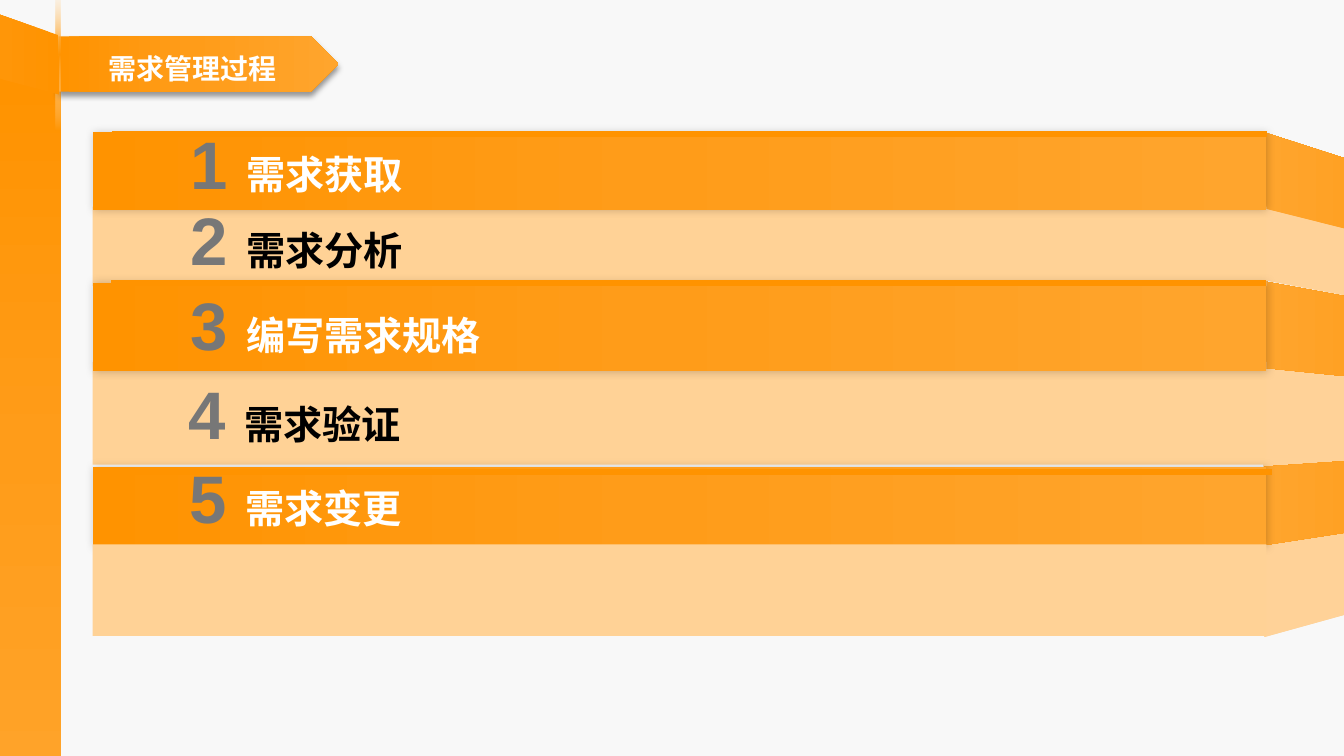
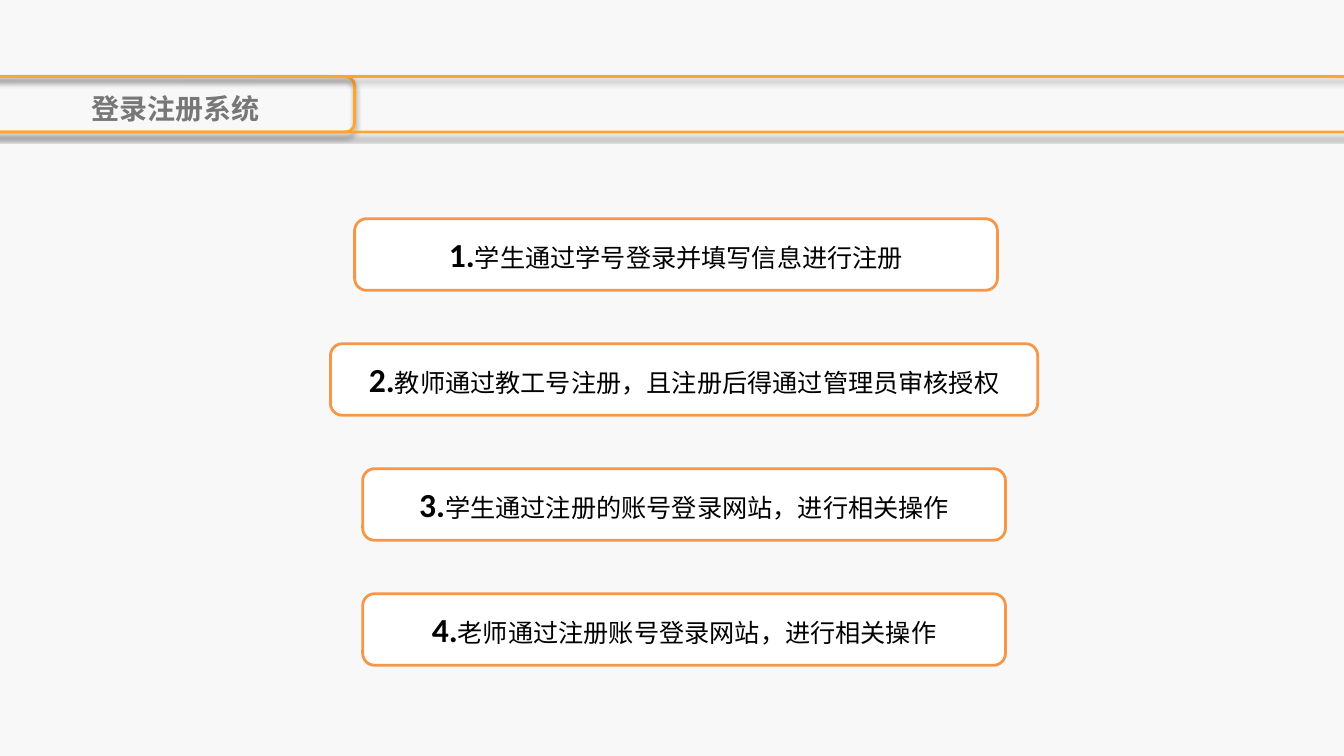
from lxml.etree import SubElement
from pptx import Presentation
from pptx.dml.color import RGBColor
from pptx.enum.shapes import MSO_CONNECTOR, MSO_SHAPE
from pptx.enum.text import MSO_ANCHOR, PP_ALIGN
from pptx.oxml.ns import qn
from pptx.util import Inches, Pt

ORANGE, LIGHT_ORANGE, PALE = "FF9300", "FFA52D", "FFD296"
CARD_LINE, GRAY, WHITE, BLACK = "F79646", "777777", "FFFFFF", "000000"
BACKGROUND = "F8F8F8"
CJK_FONT = "Noto Sans CJK SC"
STRONG_STOPS = [(0, ORANGE, 100), (47, "FF9C19", 100), (100, LIGHT_ORANGE, 100)]
PALE_STOPS = [(0, "FFD499", 100), (47, "FFD298", 100), (100, PALE, 100)]
SPINE_STOPS = [(2, WHITE, 0), (50, "FF9504", 100), (100, WHITE, 0)]
SOFT_SHADOW = (20, 6, 0, 225)
DROP_SHADOW = (40, 4, 3, 90)


def color(value):
    """Turn a hex string into a colour."""
    return RGBColor.from_string(value)


class Deck:
    """Hold the presentation style and the current slide."""

    def __init__(self):
        """Start a presentation of the right size."""
        self.presentation = Presentation()
        self.presentation.slide_width = Inches(13.34)
        self.presentation.slide_height = Inches(7.5)
        self.slide = None

    def new_slide(self):
        """Add a blank slide with the shared background."""
        self.slide = self.presentation.slides.add_slide(self.presentation.slide_layouts[6])
        fill = self.slide.background.fill
        fill.solid()
        fill.fore_color.rgb = color(BACKGROUND)

    def paint(self, shape, fill=None, angle=0, line=None, shadow=None):
        """Set fill, line and shadow of a shape."""
        if fill is None:
            shape.fill.background()
        elif isinstance(fill, str):
            shape.fill.solid()
            shape.fill.fore_color.rgb = color(fill)
        else:
            self.gradient(shape, fill, angle)
        if line:
            shape.line.color.rgb = color(line)
            shape.line.width = Pt(2)
        else:
            shape.line.fill.background()
        shape.shadow.inherit = False
        if shadow:
            self.cast_shadow(shape, *shadow)
        return shape

    def gradient(self, shape, stops, angle):
        """Fill a shape with stops of position, colour and opacity."""
        shape.fill.gradient()
        shape.fill.gradient_angle = angle
        stop_list = shape.element.spPr.find(qn("a:gradFill")).find(qn("a:gsLst"))
        for old_stop in list(stop_list):
            stop_list.remove(old_stop)
        for position, value, opacity in stops:
            stop = SubElement(stop_list, qn("a:gs"), pos=str(position * 1000))
            tint = SubElement(stop, qn("a:srgbClr"), val=value)
            if opacity < 100:
                SubElement(tint, qn("a:alpha"), val=str(opacity * 1000))

    def cast_shadow(self, shape, opacity, blur, distance, direction):
        """Add an outer shadow to a shape."""
        effects = shape.element.spPr.find(qn("a:effectLst"))
        outer = SubElement(effects, qn("a:outerShdw"), blurRad=str(Pt(blur)), dist=str(Pt(distance)),
                           dir=str(direction * 60000), algn="ctr", rotWithShape="0")
        tint = SubElement(outer, qn("a:srgbClr"), val=BLACK)
        SubElement(tint, qn("a:alpha"), val=str(opacity * 1000))

    def box(self, kind, left, top, width, height, **look):
        """Add a painted preset shape."""
        shape = self.slide.shapes.add_shape(kind, Inches(left), Inches(top), Inches(width), Inches(height))
        return self.paint(shape, **look)

    def outline(self, points, stops):
        """Add a closed polygon with a gradient from right to left."""
        corners = [(Inches(x), Inches(y)) for x, y in points]
        builder = self.slide.shapes.build_freeform(*corners[0])
        builder.add_line_segments(corners[1:], close=True)
        return self.paint(builder.convert_to_shape(), stops, 180)

    def rule(self, left, top, width):
        """Add a thick horizontal line."""
        connector = self.slide.shapes.add_connector(
            MSO_CONNECTOR.STRAIGHT, Inches(left), Inches(top), Inches(left + width), Inches(top))
        connector.line.color.rgb = color(ORANGE)
        connector.line.width = Pt(4.5)
        SubElement(connector.element.spPr, qn("a:effectLst"))

    def set_text(self, shape, runs, align=PP_ALIGN.LEFT, anchor=MSO_ANCHOR.TOP, spacing=None):
        """Put runs of text, size, font, colour and weight in one paragraph."""
        frame = shape.text_frame
        frame.word_wrap = True
        frame.vertical_anchor = anchor
        paragraph = frame.paragraphs[0]
        paragraph.alignment = align
        if spacing:
            paragraph.line_spacing = spacing
        for text, size, font, value, bold in runs:
            run = paragraph.add_run()
            run.text = text
            run.font.size = Pt(size)
            run.font.bold = bold
            run.font.color.rgb = color(value)
            run.font.name = font
            SubElement(run.font._element, qn("a:ea"), typeface=CJK_FONT)

    def text(self, left, top, width, height, runs, **layout):
        """Add a text box."""
        shape = self.slide.shapes.add_textbox(Inches(left), Inches(top), Inches(width), Inches(height))
        self.set_text(shape, runs, **layout)

    def title(self, left, top, width, height, words, value):
        """Add a slide title."""
        self.text(left, top, width, height, [(words, 20, CJK_FONT, value, True)],
                  align=PP_ALIGN.CENTER, spacing=1.3)


def build_process(deck):
    """Build the slide of the five process steps."""
    deck.new_slide()
    wings = [
        ([(12.54, 1.31), (15.8, 2.36), (15.81, 2.9), (12.54, 2.1)], STRONG_STOPS),
        ([(12.54, 3.65), (15.77, 3.88), (15.79, 4.43), (12.54, 4.65)], PALE_STOPS),
        ([(12.55, 2.07), (15.78, 2.88), (15.81, 3.39), (12.55, 2.78)], PALE_STOPS),
        ([(12.54, 2.79), (15.79, 3.38), (15.78, 3.91), (13.34, 3.73), (12.55, 3.65)], STRONG_STOPS),
        ([(15.77, 4.91), (15.8, 5.42), (12.55, 6.32), (12.54, 5.41)], PALE_STOPS),
        ([(12.55, 4.63), (15.78, 4.41), (15.79, 4.91), (12.54, 5.41)], STRONG_STOPS),
    ]
    for points, stops in wings:
        deck.outline(points, stops)

    strong = {"fill": STRONG_STOPS, "shadow": SOFT_SHADOW}
    pale = {"fill": PALE}
    bars = [(2.05, 0.79, pale), (1.31, 0.77, strong), (3.59, 1.02, pale),
            (4.63, 0.79, strong), (2.81, 0.87, strong), (5.4, 0.91, pale)]
    for top, height, look in bars:
        deck.box(MSO_SHAPE.RECTANGLE, 0.92, top, 11.65, height, **look)
    for left, top in [(1.11, 1.33), (1.1, 2.81), (1.16, 4.68)]:
        deck.rule(left, top, 11.47)

    steps = [(1.79, 1.16, "需求获取"), (1.79, 1.92, "需求分析"), (1.79, 2.76, "编写需求规格"),
             (1.77, 3.64, "需求验证"), (1.78, 4.48, "需求变更")]
    for number, (left, top, words) in enumerate(steps, 1):
        value = WHITE if number % 2 else BLACK
        deck.text(left, top, 4.17, 0.91, [(f"{number} ", 48, "Arial", GRAY, True),
                                          (words, 28, "Arial", value, True)])

    deck.box(MSO_SHAPE.RECTANGLE, 0, 0.76, 0.61, 7.72, fill=STRONG_STOPS, angle=270)
    deck.box(MSO_SHAPE.PENTAGON, 0.58, 0.36, 2.78, 0.55, fill=STRONG_STOPS, shadow=DROP_SHADOW)
    deck.title(0.76, 0.36, 2.3, 0.5, "需求管理过程", WHITE)
    spine = deck.box(MSO_SHAPE.RECTANGLE, -0.21, 0.52, 1.57, 0.04, fill=SPINE_STOPS, angle=180)
    spine.rotation = 90
    deck.outline([(-2.67, -0.79), (0.58, 0.35), (0.59, 0.94), (-2.67, 0.06)], STRONG_STOPS)


def build_login(deck):
    """Build the slide of the login and registration rules."""
    deck.new_slide()
    band = {"line": LIGHT_ORANGE, "shadow": DROP_SHADOW}
    for left, width in [(-0.26, 3.78), (-0.18, 13.94)]:
        deck.box(MSO_SHAPE.FLOWCHART_ALTERNATE_PROCESS, left, 0.76, width, 0.55, **band)
    deck.title(0.21, 0.76, 3.06, 0.55, "登录注册系统", GRAY)

    cards = [(3.52, 6.38, "学生通过学号登录并填写信息进行注册"),
             (3.28, 7.02, "教师通过教工号注册，且注册后得通过管理员审核授权"),
             (3.6, 6.38, "学生通过注册的账号登录网站，进行相关操作"),
             (3.6, 6.38, "老师通过注册账号登录网站，进行相关操作")]
    for index, (left, width, words) in enumerate(cards):
        card = deck.box(MSO_SHAPE.ROUNDED_RECTANGLE, left, 2.17 + 1.24 * index, width, 0.71,
                        fill=WHITE, line=CARD_LINE)
        runs = [(f"{index + 1}.", 24, "Calibri", BLACK, True), (words, 18, "Calibri", BLACK, False)]
        deck.set_text(card, runs, align=PP_ALIGN.CENTER, anchor=MSO_ANCHOR.MIDDLE)


def main():
    """Build and save the presentation."""
    deck = Deck()
    build_process(deck)
    build_login(deck)
    deck.presentation.save("out.pptx")


if __name__ == "__main__":
    main()
